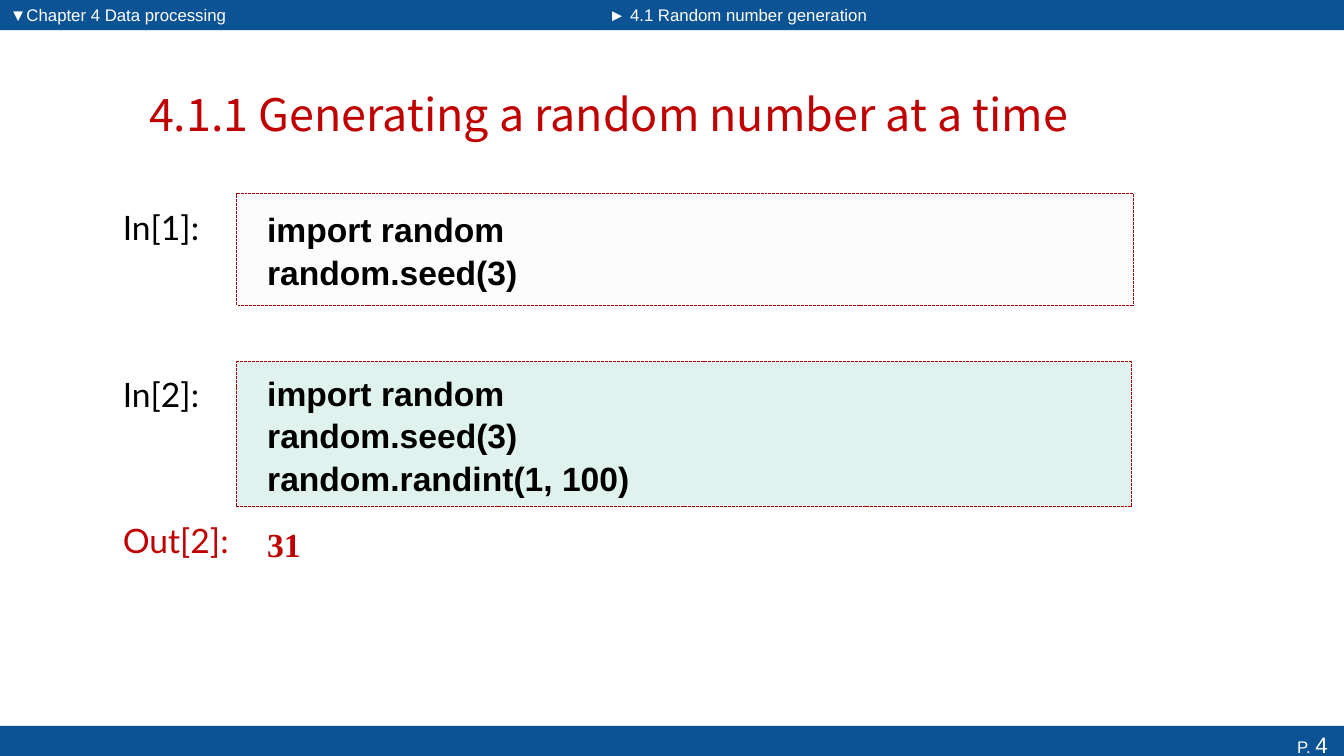
from dataclasses import dataclass
from typing import NamedTuple

from lxml.etree import SubElement
from pptx import Presentation
from pptx.dml.color import RGBColor
from pptx.enum.dml import MSO_LINE_DASH_STYLE as Dash
from pptx.enum.shapes import MSO_SHAPE as Shape
from pptx.enum.text import MSO_ANCHOR as Anchor, PP_ALIGN as Align
from pptx.oxml.ns import qn
from pptx.util import Inches, Pt

COLORS = {"bar": "0B5394", "white": "FFFFFF", "red": "C00000", "black": "000000",
          "border": "AB0000", "setup": "F1EEF4", "run": "0C9B74"}

prs = Presentation()
prs.slide_width, prs.slide_height = Inches(13.33), Inches(7.5)
s = prs.slides.add_slide(prs.slide_layouts[6])


class Area(NamedTuple):
    """Left, top, width and height in percent of the slide."""
    x: float
    y: float
    w: float
    h: float

    def emu(self) -> list[int]:
        sizes = (prs.slide_width, prs.slide_height) * 2
        return [round(share * size / 100) for share, size in zip(self, sizes)]


@dataclass
class Label:
    text: str
    area: Area
    font: str
    size: int
    color: str
    bold: bool = False
    align: Align = Align.LEFT
    anchor: Anchor = Anchor.TOP
    inset: float = 0.1


@dataclass
class CodeCell:
    code: str
    area: Area
    fill: str


def rgb(name: str) -> RGBColor:
    return RGBColor.from_string(COLORS[name])


def add_rect(area: Area, fill: str):
    sp = s.shapes.add_shape(Shape.RECTANGLE, *area.emu())
    sp.shadow.inherit = False
    sp.fill.solid()
    sp.fill.fore_color.rgb = rgb(fill)
    sp.line.fill.background()
    return sp


def write(sp, label: Label, spacing: float = 1.0) -> None:
    tf = sp.text_frame
    tf.word_wrap = True
    tf.vertical_anchor = label.anchor
    tf.margin_left = Inches(label.inset)
    tf.text = label.text
    for p in tf.paragraphs:
        p.alignment = label.align
        p.line_spacing = spacing
        for r in p.runs:
            r.font.name, r.font.size = label.font, Pt(label.size)
            r.font.bold = label.bold
            r.font.color.rgb = rgb(label.color)


def add_label(label: Label) -> None:
    write(s.shapes.add_textbox(*label.area.emu()), label)


def add_code(cell: CodeCell) -> None:
    sp = add_rect(cell.area, cell.fill)
    color = sp.fill._xPr.find(qn("a:solidFill"))[0]
    SubElement(color, qn("a:alpha"), val="13000")
    sp.line.color.rgb = rgb("border")
    sp.line.width = Pt(0.7)
    sp.line.dash_style = Dash.SQUARE_DOT
    write(sp, Label(cell.code, cell.area, "Arial", 24, "black", bold=True,
                    anchor=Anchor.MIDDLE, inset=0.3), spacing=1.05)


# Header and footer bars
SPLIT = 44.49
add_rect(Area(0, 0, SPLIT, 4), "bar")
add_rect(Area(SPLIT, 0, 100 - SPLIT, 4), "bar")
footer = add_rect(Area(0, 96, 100, 4.93), "bar")

# Page number
tf = footer.text_frame
tf.vertical_anchor = Anchor.TOP
tf.margin_right = Inches(0.16)
p = tf.paragraphs[0]
p.alignment = Align.RIGHT
for text, size in (("P. ", 12), ("4", 16)):
    r = p.add_run()
    r.text = text
    r.font.name, r.font.size = "Arial", Pt(size)
    r.font.color.rgb = rgb("white")

# Chapter and section names
for text, x, w in (("▼Chapter 4 Data processing", 0, 36.23),
                   ("► 4.1 Random number generation", 44.56, 23.78)):
    add_label(Label(text, Area(x, 0, w, 3.87), "Arial", 12, "white",
                    anchor=Anchor.MIDDLE))

# Title
add_label(Label("4.1.1 Generating a random number at a time",
                Area(5.1, 9.07, 80.42, 12), "Noto Sans CJK SC", 32, "red",
                align=Align.CENTER, anchor=Anchor.MIDDLE))

# Cell labels
for text, y, color in (("In[1]:", 26.67, "black"), ("In[2]:", 48.8, "black"),
                       ("Out[2]:", 68.13, "red")):
    add_label(Label(text, Area(8.4, y, 10.13, 6.67), "Lato", 24, color))

# Code cells and the result
CODE_X = 17.63
SETUP = "import random\nrandom.seed(3)"
for cell in (
    CodeCell(SETUP, Area(CODE_X, 25.6, 66.69, 14.8), "setup"),
    CodeCell(SETUP + "\nrandom.randint(1, 100)",
             Area(CODE_X, 47.87, 66.54, 19.2), "run"),
):
    add_code(cell)
add_label(Label("31", Area(CODE_X, 66.53, 65.57, 10.8), "Times New Roman", 24,
                "red", bold=True, anchor=Anchor.MIDDLE, inset=0.3))

prs.save("out.pptx")
